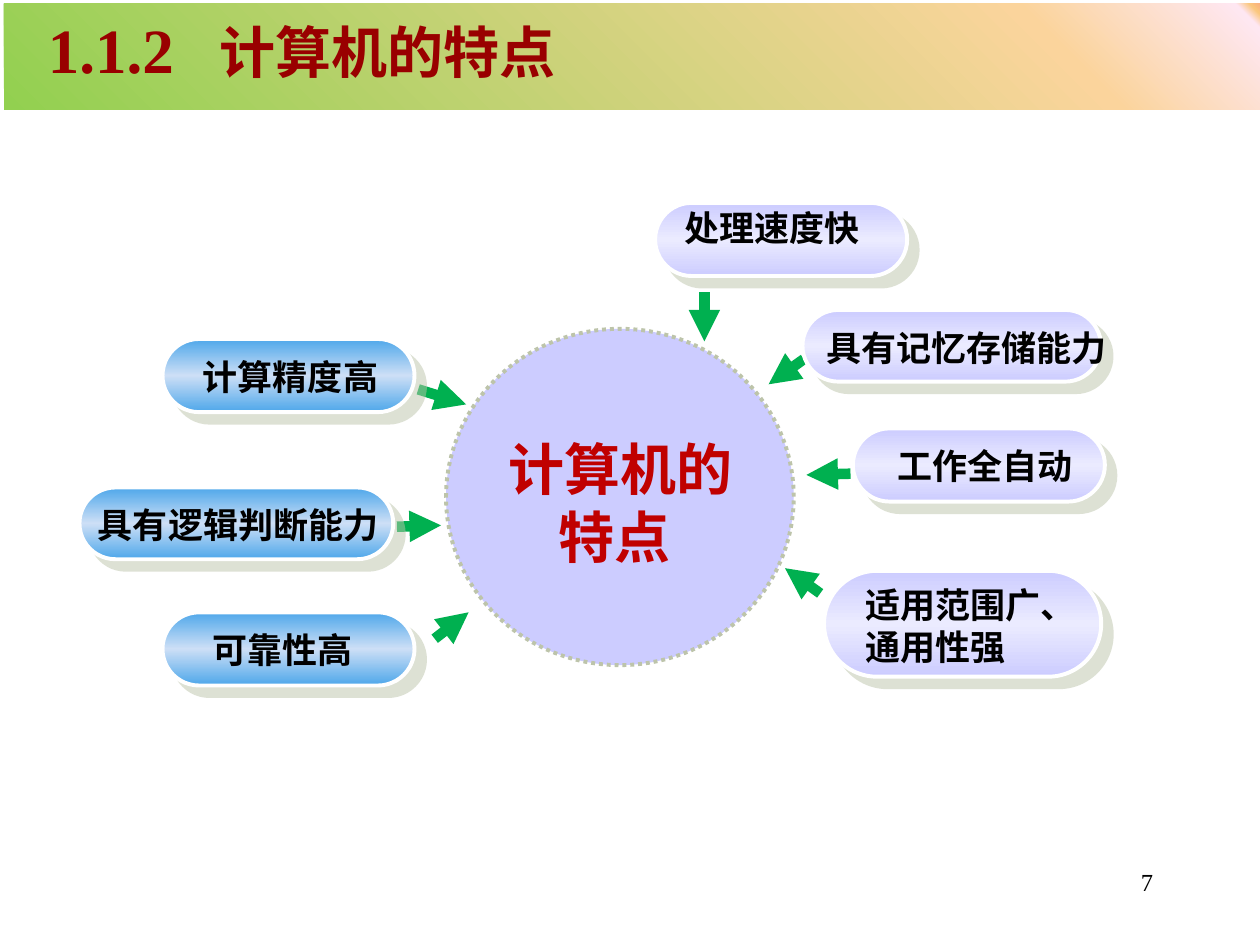
from lxml import etree
from pptx import Presentation
from pptx.dml.color import RGBColor
from pptx.enum.dml import MSO_LINE
from pptx.enum.shapes import MSO_CONNECTOR, MSO_SHAPE
from pptx.enum.text import MSO_ANCHOR, PP_ALIGN
from pptx.oxml import parse_xml
from pptx.oxml.ns import nsdecls, qn
from pptx.util import Pt

LEFT, MID, RIGHT = PP_ALIGN.LEFT, PP_ALIGN.CENTER, PP_ALIGN.RIGHT
TOP, CORE = MSO_ANCHOR.TOP, MSO_ANCHOR.MIDDLE
PILL, OVAL, RECT = MSO_SHAPE.ROUNDED_RECTANGLE, MSO_SHAPE.OVAL, MSO_SHAPE.RECTANGLE
STRAIGHT, DOTS = MSO_CONNECTOR.STRAIGHT, MSO_LINE.ROUND_DOT

THEME = dict(
    font="Times New Roman",
    ink="000000", white="FFFFFF", arrow="00B050", hub="CCCCFF",
    edge="BDC4AA", red="C00000", title="990000",
    blue=[(0, "4EA7EA"), (50, "CDDFF6"), (100, "4EA7EA")],
    lilac=[(0, "CCCCFF"), (50, "EBEBFF"), (100, "CCCCFF")],
    band=[(0, "92D050"), (82, "FBD49C"), (98, "FEE7F2"),
          (99, "FAC77D"), (100, "FBA97D"), (100, "FEE7F2")],
    number=36, head=32, label=20, page=14,
)


def write(shape, *runs, color=THEME["ink"], bold=True, align=MID, anchor=TOP, tab=None):
    """Fill the shape with one paragraph made of (text, size) runs."""
    frame = shape.text_frame
    frame.word_wrap = True
    frame.vertical_anchor = anchor
    para = frame.paragraphs[0]
    para.alignment = align
    if tab:
        stops = etree.SubElement(para._p.get_or_add_pPr(), qn("a:tabLst"))
        etree.SubElement(stops, qn("a:tab"), pos=str(Pt(tab)), algn="l")
    for text, size in runs:
        run = para.add_run()
        run.text = text
        run.font.name = THEME["font"]
        run.font.size = Pt(size)
        run.font.bold = bold
        run.font.color.rgb = RGBColor.from_string(color)


def blend(shape, stops, angle):
    """Give a gradient fill; the angle runs counter-clockwise."""
    shape.fill.gradient()
    shape.fill.gradient_angle = angle
    ramp = shape._element.spPr.find(".//" + qn("a:gsLst"))
    for old in list(ramp):
        ramp.remove(old)
    for place, color in stops:
        stop = etree.SubElement(ramp, qn("a:gs"), pos=str(place * 1000))
        etree.SubElement(stop, qn("a:srgbClr"), val=color)


deck = Presentation()
deck.slide_width, deck.slide_height = Pt(720), Pt(540)
slide = deck.slides.add_slide(deck.slide_layouts[6])
shapes = slide.shapes

# Arrows that point to the hub
arrows = [
    (239, 222.5, 266.4, 231.1), (248.4, 365, 267.8, 349.9),
    (226.8, 301, 252, 300.2), (402.5, 167, 402.5, 195.1),
    (468.7, 339.1, 448.6, 324.7), (459.4, 205.2, 439.2, 219.6),
    (486, 270.7, 460.8, 271.4),
]
for ends in arrows:
    arrow = shapes.add_connector(STRAIGHT, *map(Pt, ends))
    arrow.line.width = Pt(6)
    arrow.line.color.rgb = RGBColor.from_string(THEME["arrow"])
    etree.SubElement(arrow.line._get_or_add_ln(), qn("a:tailEnd"), type="triangle")
    etree.SubElement(arrow._element.spPr, qn("a:effectLst"))

# Traits: text, fill, pill box, text box, alignment
traits = [
    ("计算精度高", "blue", (92.9, 193.7, 144, 41.8), (85, 199.4, 162, 31), MID),
    ("具有逻辑判断能力", "blue", (45.4, 278.6, 179.3, 41), (45.4, 284.4, 181.4, 31), MID),
    ("可靠性高", "blue", (92.9, 349.9, 144, 41.8), (104.4, 355.7, 113.8, 31), MID),
    ("处理速度快", "lilac", (374.4, 115.9, 144, 41.8), (351.4, 114.5, 180, 31), MID),
    ("具有记忆存储能力", "lilac", (458.6, 177.1, 170.6, 41), (465.1, 182.9, 181.4, 31), LEFT),
    ("工作全自动", "lilac", (487.4, 244.8, 144, 41.8), (475.9, 250.6, 174.2, 31), MID),
    ("适用范围广、通用性强", "lilac", (470.9, 326.2, 158.4, 60.5), (487.4, 329.8, 146.9, 55.4), LEFT),
]
for text, fill, place, area, align in traits:
    pill = shapes.add_shape(PILL, *map(Pt, place))
    pill.adjustments[0] = 0.5
    blend(pill, THEME[fill], 270)
    pill.line.color.rgb = RGBColor.from_string(THEME["white"])
    pill.line.width = Pt(2.25)
    pill.shadow.inherit = False
    pill._element.spPr.find(qn("a:effectLst")).append(parse_xml(
        f'<a:outerShdw {nsdecls("a")} dist="{Pt(8.5)}" dir="2700000" algn="ctr" rotWithShape="0">'
        f'<a:srgbClr val="{THEME["edge"]}"><a:alpha val="50000"/></a:srgbClr></a:outerShdw>'))
    label = shapes.add_textbox(*map(Pt, area))
    write(label, (text, THEME["label"]), align=align)

# Hub
hub = shapes.add_shape(OVAL, Pt(254.9), Pt(187.9), Pt(198.7), Pt(192.2))
hub.shadow.inherit = False
hub.fill.solid()
hub.fill.fore_color.rgb = RGBColor.from_string(THEME["hub"])
hub.line.color.rgb = RGBColor.from_string(THEME["edge"])
hub.line.width = Pt(2.25)
hub.line.dash_style = DOTS
topic = shapes.add_textbox(Pt(277.9), Pt(244.8), Pt(153.4), Pt(84.2))
write(topic, ("计算机的特点 ", THEME["head"]), color=THEME["red"], anchor=CORE)

# Title band and page number
band = shapes.add_shape(RECT, Pt(2.2), Pt(2.2), Pt(720), Pt(60.5))
band.shadow.inherit = False
blend(band, THEME["band"], 45)
band.line.fill.background()
band.text_frame.margin_left = Pt(25.2)
write(band, ("1.1.2\t", THEME["number"]), ("计算机的特点", THEME["head"]),
      color=THEME["title"], align=LEFT, tab=98)
page = shapes.add_textbox(Pt(516.2), Pt(491.8), Pt(149.8), Pt(36))
write(page, ("7", THEME["page"]), bold=False, align=RIGHT)

deck.save("out.pptx")
